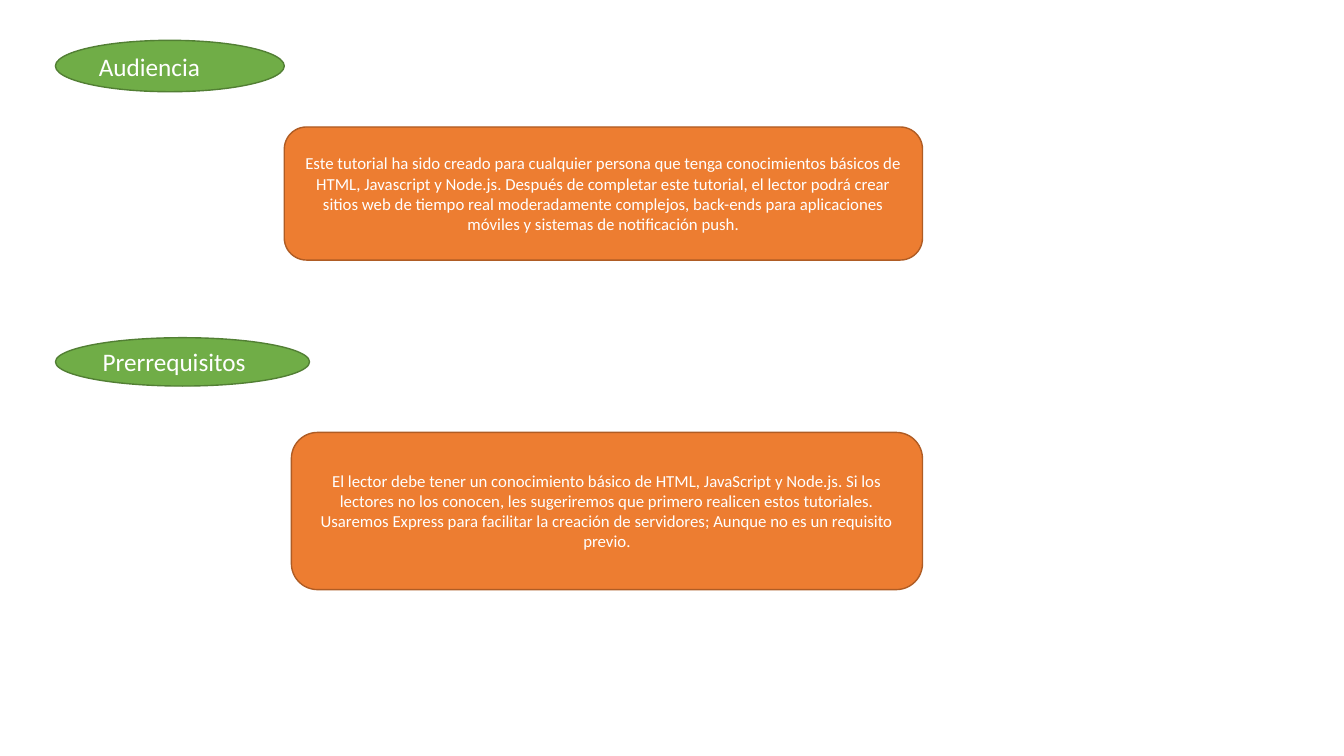
from dataclasses import dataclass

from pptx import Presentation
from pptx import util as u
from pptx.dml.color import RGBColor
from pptx.enum import shapes, text


@dataclass(frozen=True)
class Theme:
    font: str = "Calibri"
    ink: str = "FFFFFF"
    green: str = "70AD47"
    moss: str = "527F34"
    orange: str = "ED7D31"
    rust: str = "AF5C24"
    head: int = 18
    body: int = 12
    edge: int = 1


THEME = Theme()

AUDIENCE = (
    "Este tutorial ha sido creado para cualquier persona que tenga conocimientos "
    "básicos de HTML, Javascript y Node.js. Después de completar este tutorial, "
    "el lector podrá crear sitios web de tiempo real moderadamente complejos, "
    "back-ends para aplicaciones móviles y sistemas de notificación push."
)
NEEDS = (
    "El lector debe tener un conocimiento básico de HTML, JavaScript y Node.js. Si "
    "los lectores no los conocen, les sugeriremos que primero realicen estos "
    "tutoriales. Usaremos Express para facilitar la creación de servidores; Aunque "
    "no es un requisito previo."
)


def add_panel(slide, kind, box, fill, edge, words, size, align):
    """Add a filled, outlined shape with one paragraph of text."""
    panel = slide.shapes.add_shape(kind, *map(u.Inches, box))
    panel.shadow.inherit = False
    panel.fill.solid()
    panel.fill.fore_color.rgb = RGBColor.from_string(fill)
    panel.line.color.rgb = RGBColor.from_string(edge)
    panel.line.width = u.Pt(THEME.edge)

    frame = panel.text_frame
    frame.word_wrap = True
    frame.vertical_anchor = text.MSO_ANCHOR.MIDDLE
    frame.text = words
    para = frame.paragraphs[0]
    para.alignment = align
    font = para.runs[0].font
    font.name = THEME.font
    font.size = u.Pt(size)
    font.color.rgb = RGBColor.from_string(THEME.ink)


def add_label(slide, box, words):
    """Add a green oval heading."""
    add_panel(slide, shapes.MSO_SHAPE.OVAL, box, THEME.green, THEME.moss,
              words, THEME.head, text.PP_ALIGN.LEFT)


def add_card(slide, box, words):
    """Add an orange rounded card."""
    add_panel(slide, shapes.MSO_SHAPE.ROUNDED_RECTANGLE, box, THEME.orange,
              THEME.rust, words, THEME.body, text.PP_ALIGN.CENTER)


def main():
    deck = Presentation()
    deck.slide_width = u.Inches(13.33)
    deck.slide_height = u.Inches(7.5)
    slide = deck.slides.add_slide(deck.slide_layouts[6])

    # Audience
    add_label(slide, (0.55, 0.4, 2.27, 0.51), "Audiencia")
    add_card(slide, (2.82, 1.26, 6.33, 1.32), AUDIENCE)

    # Prerequisites
    add_label(slide, (0.55, 3.35, 2.52, 0.48), "Prerrequisitos")
    add_card(slide, (2.89, 4.29, 6.26, 1.56), NEEDS)

    deck.save("out.pptx")


if __name__ == "__main__":
    main()
